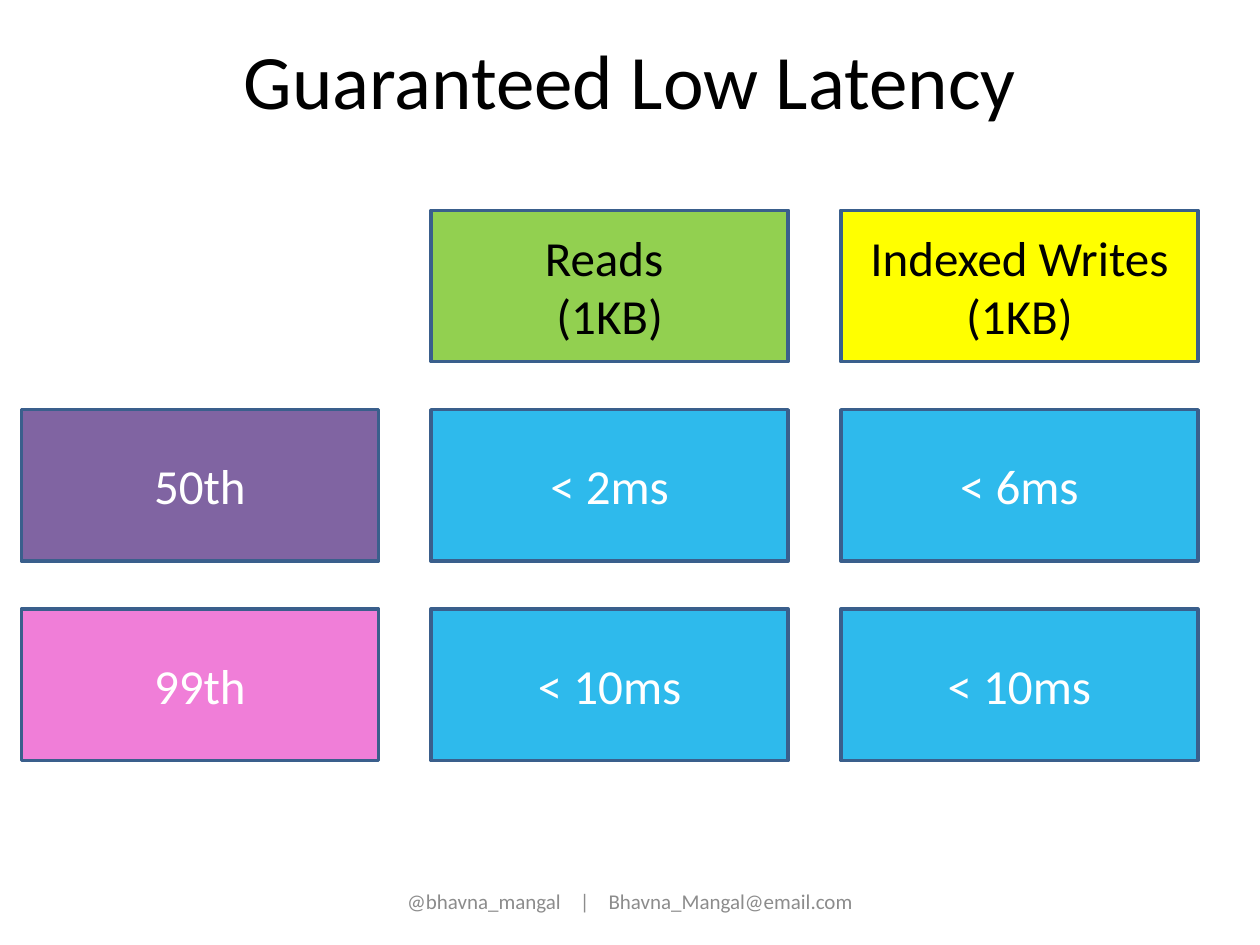
from dataclasses import dataclass

from pptx import Presentation
from pptx.dml.color import RGBColor
from pptx.enum.shapes import MSO_SHAPE
from pptx.enum.text import MSO_ANCHOR, PP_ALIGN
from pptx.util import Cm, Pt

RECTANGLE = MSO_SHAPE.RECTANGLE
MIDDLE = MSO_ANCHOR.MIDDLE
CENTER = PP_ALIGN.CENTER


@dataclass(frozen=True)
class Theme:
    font: str = "Calibri"
    title_size: int = 44
    cell_size: int = 28
    footer_size: int = 12
    black: str = "000000"
    white: str = "FFFFFF"
    grey: str = "8C8C8C"
    border: str = "3A5F8C"
    green: str = "92D050"
    yellow: str = "FFFF00"
    blue: str = "2EBAEC"
    purple: str = "8064A2"
    pink: str = "F07ED8"


THEME = Theme()


def style_text(frame, size, color):
    frame.word_wrap = True
    frame.vertical_anchor = MIDDLE
    for paragraph in frame.paragraphs:
        paragraph.alignment = CENTER
        for run in paragraph.runs:
            run.font.name = THEME.font
            run.font.size = Pt(size)
            run.font.color.rgb = RGBColor.from_string(color)


prs = Presentation()
prs.slide_width, prs.slide_height = Cm(25.4), Cm(19.05)
slide = prs.slides.add_slide(prs.slide_layouts[6])

title = slide.shapes.add_textbox(Cm(1.27), Cm(0), Cm(22.86), Cm(3.18))
title.text_frame.text = "Guaranteed Low Latency"
style_text(title.text_frame, THEME.title_size, THEME.black)

footer = slide.shapes.add_textbox(Cm(0), Cm(17.65), Cm(25.4), Cm(1.02))
contact = footer.text_frame.paragraphs[0]
for part in ("@bhavna_mangal", " |", " Bhavna_Mangal@email.com"):
    contact.add_run().text = part
style_text(footer.text_frame, THEME.footer_size, THEME.grey)
# Letter spacing, in hundredths of a point, opens the gaps around the bar.
contact.runs[1].font._element.set("spc", "810")

# Latency by percentile: (text, fill, text colour), None for the empty corner
latency_rows = [
    [None,
     ("Reads \n(1KB)", THEME.green, THEME.black),
     ("Indexed Writes (1KB)", THEME.yellow, THEME.black)],
    [("50th", THEME.purple, THEME.white),
     ("< 2ms", THEME.blue, THEME.white),
     ("< 6ms", THEME.blue, THEME.white)],
    [("99th", THEME.pink, THEME.white),
     ("< 10ms", THEME.blue, THEME.white),
     ("< 10ms", THEME.blue, THEME.white)],
]
GRID_LEFT, GRID_TOP = Cm(0.43), Cm(4.24)
COLUMN_STEP, ROW_STEP = Cm(8.26), Cm(4.02)
CELL_WIDTH, CELL_HEIGHT = Cm(7.2), Cm(3.05)

for row, cells in enumerate(latency_rows):
    for column, cell in enumerate(cells):
        if cell is None:
            continue
        label, fill, color = cell
        box = slide.shapes.add_shape(
            RECTANGLE,
            GRID_LEFT + column * COLUMN_STEP, GRID_TOP + row * ROW_STEP,
            CELL_WIDTH, CELL_HEIGHT)
        box.shadow.inherit = False
        box.fill.solid()
        box.fill.fore_color.rgb = RGBColor.from_string(fill)
        box.line.color.rgb = RGBColor.from_string(THEME.border)
        box.line.width = Pt(2)
        box.text_frame.text = label
        style_text(box.text_frame, THEME.cell_size, color)

prs.save("out.pptx")
